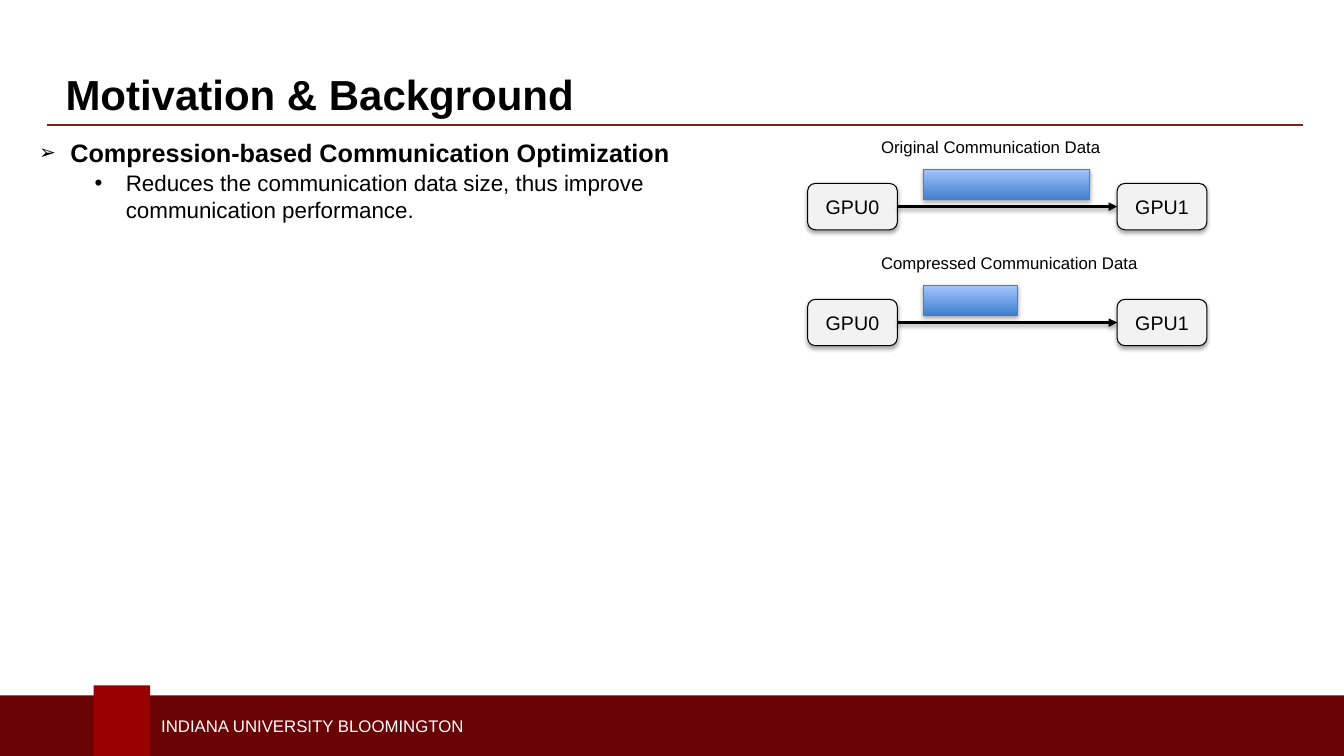
from lxml import etree
from pptx import Presentation, util as u
from pptx.dml.color import RGBColor
from pptx.enum import shapes, text
from pptx.oxml import parse_xml
from pptx.oxml.ns import nsdecls, qn

BLACK = "000000"
ROW_TOP, ROW_STEP = 1.31, 1.15
BOX_WIDTH, BOX_HEIGHT = 0.89, 0.46


def color(hex_string):
    return RGBColor.from_string(hex_string)


def add_shadow(effects, opacity, distance):
    """Put a soft downward shadow, with distance in points, into an effect list."""
    effects.append(parse_xml(
        f'<a:outerShdw {nsdecls("a")} blurRad="40000" dist="{u.Pt(distance)}" dir="5400000" '
        f'rotWithShape="0"><a:srgbClr val="000000"><a:alpha val="{opacity * 1000}"/>'
        '</a:srgbClr></a:outerShdw>'))


presentation = Presentation()
presentation.slide_width = u.Inches(13.33)
presentation.slide_height = u.Inches(7.5)
slide = presentation.slides.add_slide(presentation.slide_layouts[5])

# Footer band and its accent block, both reaching the bottom edge
for left, top, width, fill in [(0, 6.9, 13.33, "690304"), (0.93, 6.8, 0.56, "990000")]:
    block = slide.shapes.add_shape(
        shapes.MSO_SHAPE.RECTANGLE, u.Inches(left), u.Inches(top),
        u.Inches(width), u.Inches(7.5 - top))
    block.shadow.inherit = False
    block.fill.solid()
    block.fill.fore_color.rgb = color(fill)
    block.line.fill.background()

# Title and rule
title = slide.shapes.title
title.left, title.top = u.Inches(0.55), u.Inches(0.63)
title.width, title.height = u.Inches(5.53), u.Inches(0.61)
title.text_frame.text = "Motivation & Background"
title.text_frame.vertical_anchor = text.MSO_ANCHOR.TOP
paragraph = title.text_frame.paragraphs[0]
paragraph.alignment = text.PP_ALIGN.LEFT
paragraph.font.name = "Arial"
paragraph.font.size = u.Pt(30)
paragraph.font.bold = True
paragraph.font.color.rgb = color(BLACK)

rule = slide.shapes.add_connector(
    shapes.MSO_CONNECTOR.STRAIGHT, u.Inches(0.47), u.Inches(1.24), u.Inches(12.92), u.Inches(1.24))
rule.line.color.rgb = color("841F19")
rule.line.width = u.Pt(1.25)
etree.SubElement(rule._element.spPr, qn("a:effectLst"))

# Text boxes: wording, left, top, width, height, size, bold, colour, bullet, bullet size
labels = [
    ("INDIANA UNIVERSITY BLOOMINGTON", 1.5, 7.05, 5.27, 0.3, 12, False, "FFFFFF", None, None),
    ("Compression-based Communication Optimization",
     0.29, 1.31, 8.16, 0.4, 18, True, BLACK, "➢", 80),
    ("Reduces the communication data size, thus improve communication performance.",
     0.84, 1.63, 6.7, 0.94, 16, False, BLACK, "•", 100),
    ("Original Communication Data",
     8.64, ROW_TOP, 2.58, 0.3, 12, False, BLACK, None, None),
    ("Compressed Communication Data",
     8.64, ROW_TOP + ROW_STEP, 2.96, 0.3, 12, False, BLACK, None, None),
]
for wording, left, top, width, height, size, bold, ink, bullet, bullet_size in labels:
    label = slide.shapes.add_textbox(
        u.Inches(left), u.Inches(top), u.Inches(width), u.Inches(height))
    label.text_frame.word_wrap = True
    label.text_frame.text = wording
    paragraph = label.text_frame.paragraphs[0]
    if bullet:
        properties = paragraph._p.get_or_add_pPr()
        properties.set("marL", str(u.Inches(0.31)))
        properties.set("indent", str(u.Inches(-0.31)))
        etree.SubElement(properties, qn("a:buSzPct"), val=str(bullet_size * 1000))
        etree.SubElement(properties, qn("a:buFont"), typeface="Arial")
        etree.SubElement(properties, qn("a:buChar"), char=bullet)
    paragraph.font.name = "Arial"
    paragraph.font.size = u.Pt(size)
    paragraph.font.bold = bold
    paragraph.font.color.rgb = color(ink)

# One diagram row per data size: a data bar above an arrow between two GPUs
for row, data_width in enumerate([1.65, 0.93]):
    top = ROW_TOP + row * ROW_STEP
    data = slide.shapes.add_shape(
        shapes.MSO_SHAPE.RECTANGLE, u.Inches(9.16), u.Inches(top + 0.37),
        u.Inches(data_width), u.Inches(0.3))
    data.fill.gradient()
    data.fill.gradient_angle = 90
    for stop, shade in zip(data.fill.gradient_stops, ["3F80CE", "A4C4FF"]):
        stop.color.rgb = color(shade)
    data.line.color.rgb = color("4B7EBC")

    gpus = []
    for name, left in [("GPU0", 8.01), ("GPU1", 11.08)]:
        gpu = slide.shapes.add_shape(
            shapes.MSO_SHAPE.ROUNDED_RECTANGLE, u.Inches(left), u.Inches(top + 0.51),
            u.Inches(BOX_WIDTH), u.Inches(BOX_HEIGHT))
        gpu.fill.solid()
        gpu.fill.fore_color.rgb = color("F2F2F2")
        gpu.line.color.rgb = color(BLACK)
        gpu.text_frame.text = name
        gpu.text_frame.vertical_anchor = text.MSO_ANCHOR.MIDDLE
        paragraph = gpu.text_frame.paragraphs[0]
        paragraph.alignment = text.PP_ALIGN.CENTER
        paragraph.font.name = "Arial"
        paragraph.font.size = u.Pt(14)
        paragraph.font.color.rgb = color(BLACK)
        gpus.append(gpu)

    for shape in [data, *gpus]:
        shape.line.width = u.Pt(0.75)
        shape.shadow.inherit = False
        add_shadow(shape._element.spPr.find(qn("a:effectLst")), 35, 1.8)

    arrow = slide.shapes.add_connector(shapes.MSO_CONNECTOR.STRAIGHT, 0, 0, 0, 0)
    arrow.begin_connect(gpus[0], 3)
    arrow.end_connect(gpus[1], 1)
    arrow.line.color.rgb = color(BLACK)
    arrow.line.width = u.Pt(2)
    etree.SubElement(arrow.line._get_or_add_ln(), qn("a:tailEnd"), type="triangle")
    add_shadow(etree.SubElement(arrow._element.spPr, qn("a:effectLst")), 38, 1.6)

presentation.save("out.pptx")
